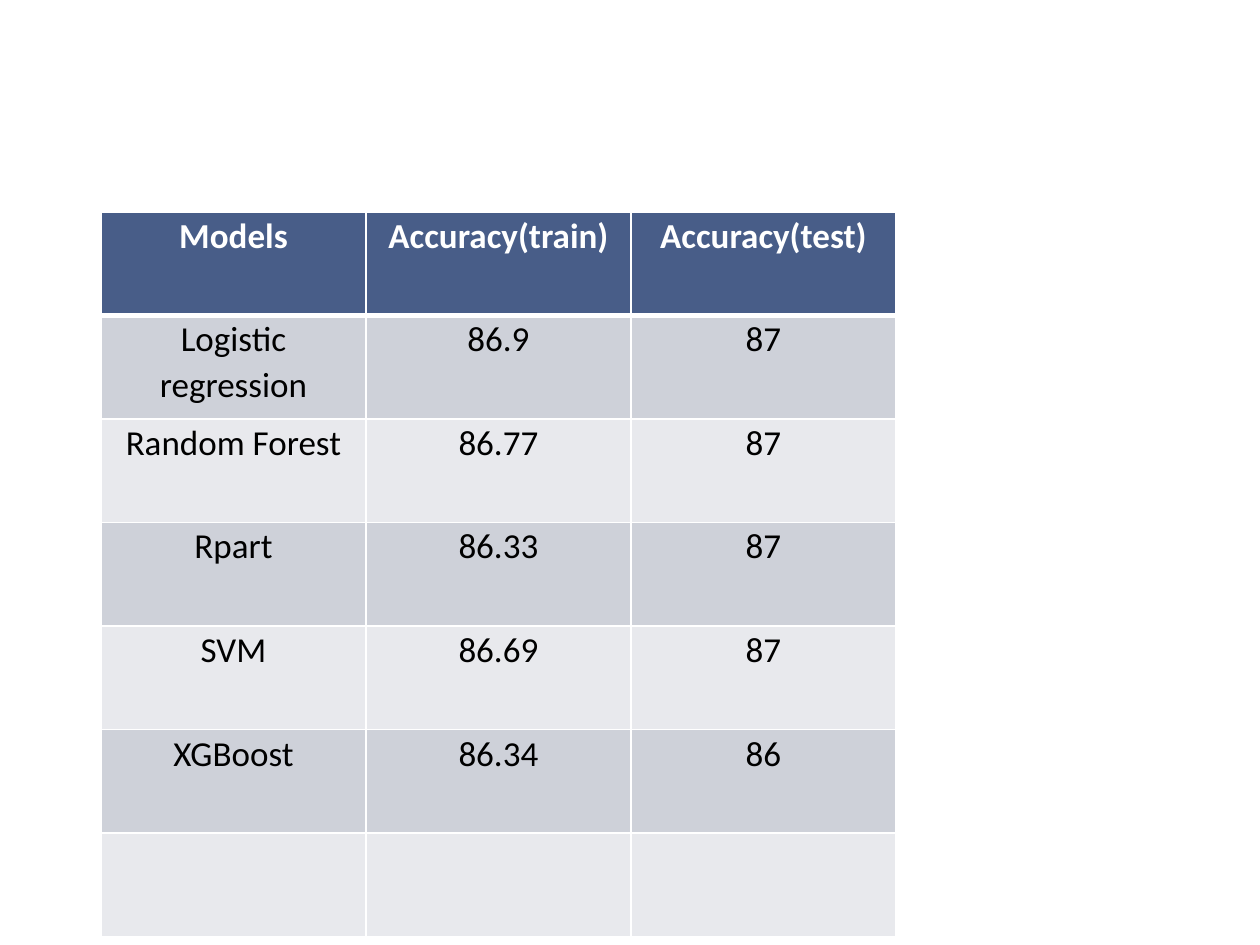
from lxml import etree
from pptx import Presentation
from pptx.dml.color import RGBColor
from pptx.enum.text import PP_ALIGN
from pptx.oxml.ns import qn
from pptx.util import Emu, Pt

CENTER = PP_ALIGN.CENTER
PX = 914400 / 126
COLORS = {
    "header": "485D88",
    "odd": "CED1D9",
    "even": "E8E9ED",
    "line": "FFFFFF",
    "header_text": "FFFFFF",
    "body_text": "000000",
}
ROWS = [
    ("Models", "Accuracy(train)", "Accuracy(test)"),
    ("Logistic regression", "86.9", "87"),
    ("Random Forest", "86.77", "87"),
    ("Rpart", "86.33", "87"),
    ("SVM", "86.69", "87"),
    ("XGBoost", "86.34", "86"),
    ("", "", ""),
]
LEFT, TOP, WIDTH, HEIGHT = 101, 212, 795, 725
MARGINS = {"margin_left": 9, "margin_right": 9, "margin_top": 0, "margin_bottom": 0}
PARA_FORMAT = {"alignment": CENTER, "line_spacing": 1.07, "space_after": Pt(8)}
FONT_FORMAT = {"name": "Calibri", "size": Pt(20)}


def px(length):
    return Emu(round(length * PX))


def add_border(cell, side, points):
    line = etree.SubElement(cell._tc.get_or_add_tcPr(), qn(f"a:ln{side}"), w=str(Pt(points)))
    fill = etree.SubElement(line, qn("a:solidFill"))
    etree.SubElement(fill, qn("a:srgbClr"), val=COLORS["line"])


deck = Presentation()
deck.slide_width, deck.slide_height = px(1260), px(945)
page = deck.slides.add_slide(deck.slide_layouts[6])

frame = page.shapes.add_table(len(ROWS), len(ROWS[0]), px(LEFT), px(TOP), px(WIDTH), px(HEIGHT))
table = frame.table
for column in table.columns:
    column.width = px(WIDTH / len(ROWS[0]))
for row in table.rows:
    row.height = px(HEIGHT / len(ROWS))

for row_index, texts in enumerate(ROWS):
    is_header = row_index == 0
    band = "header" if is_header else "odd" if row_index % 2 else "even"
    borders = {"L": 1, "R": 1, "T": 3 if row_index == 1 else 1, "B": 3 if is_header else 1}
    for column_index, text in enumerate(texts):
        cell = table.cell(row_index, column_index)
        for name, value in MARGINS.items():
            setattr(cell, name, px(value))
        for side, points in borders.items():
            add_border(cell, side, points)
        cell.fill.solid()
        cell.fill.fore_color.rgb = RGBColor.from_string(COLORS[band])
        if not text:
            continue
        para = cell.text_frame.paragraphs[0]
        for name, value in PARA_FORMAT.items():
            setattr(para, name, value)
        span = para.add_run()
        span.text = text
        for name, value in FONT_FORMAT.items():
            setattr(span.font, name, value)
        span.font.bold = is_header
        text_color = "header_text" if is_header else "body_text"
        span.font.color.rgb = RGBColor.from_string(COLORS[text_color])

deck.save("out.pptx")
